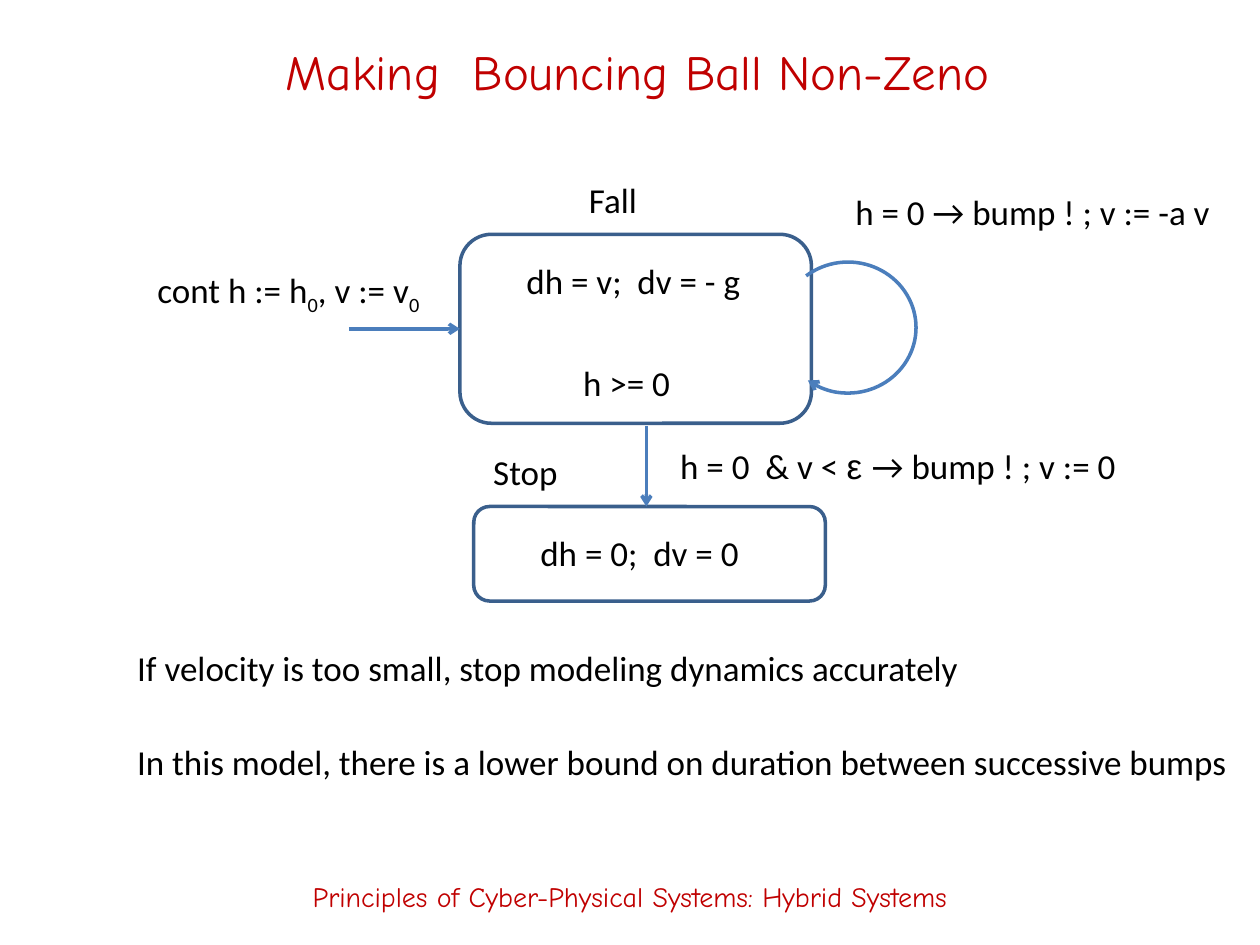
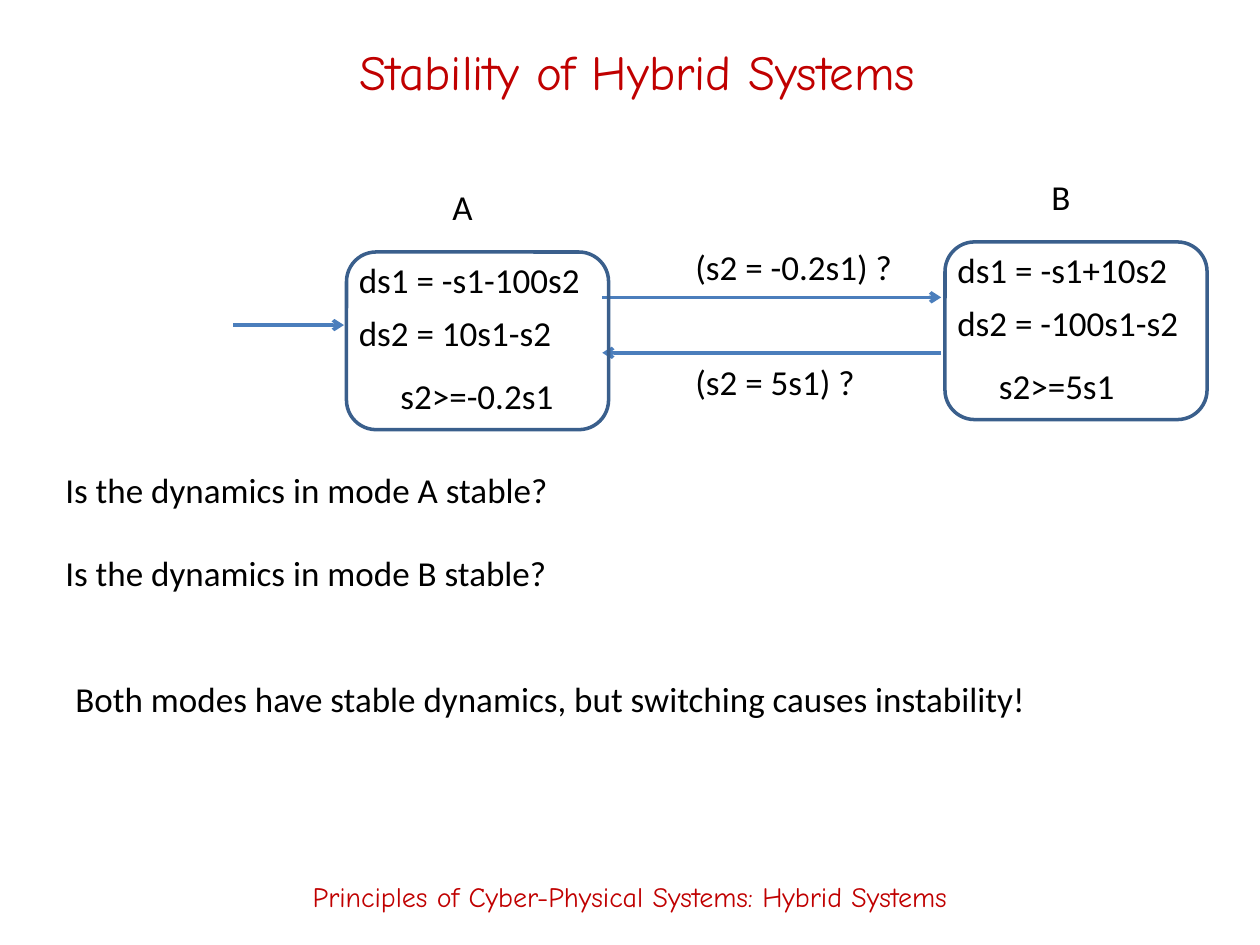
from dataclasses import dataclass
from typing import NamedTuple

from lxml import etree
from pptx import Presentation
from pptx.dml.color import RGBColor
from pptx.enum import shapes, text
from pptx.oxml import ns
from pptx.util import Inches, Pt

COLORS = {"heading": "C00000", "body": "000000", "arrow": "4B7EBC", "mode": "3A5F8C"}
HEADING_FONT = "Comic Neue"
BODY_FONT = "Calibri"
LINE_HEIGHT = 0.44
FOOTER = "Principles of Cyber-Physical Systems: Hybrid Systems"


class Run(NamedTuple):
    text: str
    font: str = ""
    subscript: bool = False


class Label(NamedTuple):
    left: float
    top: float
    width: float
    runs: tuple[Run, ...]
    centered: bool = False


class Arrow(NamedTuple):
    start: tuple[float, float]
    end: tuple[float, float]


@dataclass
class Mode:
    left: float
    top: float
    width: float
    height: float
    name: Label
    equations: tuple[Label, ...]


def label(left: float, top: float, width: float, *runs: str | Run, centered: bool = False) -> Label:
    parts = tuple(Run(run) if isinstance(run, str) else run for run in runs)
    return Label(left, top, width, parts, centered)


def style_paragraph(paragraph, size: int, font: str, color: str, centered: bool) -> None:
    paragraph.alignment = text.PP_ALIGN.CENTER if centered else text.PP_ALIGN.LEFT
    paragraph.font.size = Pt(size)
    paragraph.font.name = font
    paragraph.font.color.rgb = RGBColor.from_string(COLORS[color])


def style_stroke(stroked, color: str) -> None:
    stroked.line.color.rgb = RGBColor.from_string(COLORS[color])
    stroked.line.width = Pt(2)


def point_end(stroked) -> None:
    etree.SubElement(stroked.line._get_or_add_ln(), ns.qn("a:tailEnd"), type="arrow")


def add_label(slide, item: Label, dx: float = 0, dy: float = 0) -> None:
    box = slide.shapes.add_textbox(
        Inches(item.left + dx), Inches(item.top + dy), Inches(item.width), Inches(LINE_HEIGHT)
    )
    box.text_frame.word_wrap = False
    box.text_frame.auto_size = text.MSO_AUTO_SIZE.SHAPE_TO_FIT_TEXT
    paragraph = box.text_frame.paragraphs[0]
    style_paragraph(paragraph, 20, BODY_FONT, "body", item.centered)
    for part in item.runs:
        run = paragraph.add_run()
        run.text = part.text
        if part.font:
            run.font.name = part.font
        if part.subscript:
            run._r.get_or_add_rPr().set("baseline", "-25000")


def add_arrow(slide, arrow: Arrow):
    connector = slide.shapes.add_connector(
        shapes.MSO_CONNECTOR.STRAIGHT, *(Inches(v) for v in arrow.start + arrow.end)
    )
    style_stroke(connector, "arrow")
    point_end(connector)
    etree.SubElement(connector._element.spPr, ns.qn("a:effectLst"))
    return connector


def add_outline(slide, kind, left: float, top: float, width: float, height: float, color: str):
    outline = slide.shapes.add_shape(
        kind, Inches(left), Inches(top), Inches(width), Inches(height)
    )
    outline.shadow.inherit = False
    outline.fill.background()
    style_stroke(outline, color)
    return outline


def add_mode(slide, mode: Mode):
    box = add_outline(
        slide, shapes.MSO_SHAPE.ROUNDED_RECTANGLE,
        mode.left, mode.top, mode.width, mode.height, "mode",
    )
    for item in (mode.name, *mode.equations):
        add_label(slide, item, mode.left, mode.top)
    return box


def add_self_loop(slide, left: float, top: float, width: float, height: float,
                  start_degrees: float, end_degrees: float) -> None:
    loop = add_outline(slide, shapes.MSO_SHAPE.ARC, left, top, width, height, "arrow")
    for index, degrees in enumerate((start_degrees, end_degrees)):
        loop.adjustments[index] = degrees * 0.6
    point_end(loop)


def add_lecture_slide(deck, heading: str):
    slide = deck.slides.add_slide(deck.slide_layouts[5])
    title = slide.shapes.title
    title.left, title.top = Inches(0.77), Inches(0.17)
    title.width, title.height = Inches(8.58), Inches(0.78)
    footer = slide.shapes.add_textbox(Inches(0), Inches(6.72), Inches(10), Inches(0.78))
    for box, wording, size in ((title, heading, 28), (footer, FOOTER, 16)):
        frame = box.text_frame
        frame.text = wording
        frame.word_wrap = True
        frame.vertical_anchor = text.MSO_ANCHOR.MIDDLE
        style_paragraph(frame.paragraphs[0], size, HEADING_FONT, "heading", True)
    return slide


def build_bouncing_ball(deck) -> None:
    slide = add_lecture_slide(deck, "Making  Bouncing Ball Non-Zeno")
    fall = add_mode(slide, Mode(
        3.65, 1.86, 2.79, 1.5,
        label(0.92, -0.49, 0.59, "Fall", centered=True),
        (label(0.43, 0.15, 1.97, "dh = v;  dv = - g"), label(0.88, 0.96, 0.9, "h >= 0")),
    ))
    add_mode(slide, Mode(
        3.76, 4.02, 2.79, 0.75,
        label(-0.06, -0.49, 0.94, "Stop", centered=True),
        (label(0.43, 0.15, 1.85, "dh = 0;  dv = 0"),),
    ))
    entry = add_arrow(slide, Arrow((2.77, 2.61), (3.65, 2.61)))
    entry.end_connect(fall, 1)
    add_arrow(slide, Arrow((5.13, 3.38), (5.13, 4.02)))
    add_self_loop(slide, 6.19, 2.08, 1.08, 1.04, 231, 127.2)
    for item in (
        label(1.15, 2.08, 2.38, "cont h := h", Run("0", subscript=True),
              ", v := v", Run("0", subscript=True)),
        label(6.69, 1.46, 3.06, "h = 0 → bump ! ; v := -a v"),
        label(5.3, 3.48, 3.7, "h = 0  & v < ", Run("ε ", "Arial"), "→ bump ! ; v := 0"),
        label(0.99, 5.08, 6.84, "If velocity is too small, stop modeling dynamics accurately"),
        label(0.99, 5.83, 9,
              "In this model, there is a lower bound on duration between successive bumps"),
    ):
        add_label(slide, item)


def switching_mode(left: float, top: float, name: str, rates: tuple[tuple[str, float], ...],
                   invariant: tuple[str, float]) -> Mode:
    equations = [label(0, 0.42 * row, width, rate) for row, (rate, width) in enumerate(rates)]
    condition, width = invariant
    equations.append(label(0.33, 0.92, width, condition))
    return Mode(left, top, 2.08, 1.41,
                label(0.74, -0.58, 0.36, name, centered=True), tuple(equations))


def build_stability(deck) -> None:
    slide = add_lecture_slide(deck, "Stability of Hybrid Systems")
    for arrow in (
        Arrow((1.85, 2.58), (2.73, 2.58)),
        Arrow((4.78, 2.36), (7.47, 2.36)),
        Arrow((7.47, 2.8), (4.78, 2.8)),
    ):
        add_arrow(slide, arrow)
    for mode in (
        switching_mode(2.75, 2, "A", (("ds1 = -s1-100s2", 1.97), ("ds2 = 10s1-s2", 1.74)),
                       ("s2>=-0.2s1", 1.43)),
        switching_mode(7.5, 1.92, "B", (("ds1 = -s1+10s2", 1.88), ("ds2 = -100s1-s2", 1.97)),
                       ("s2>=5s1", 1.13)),
    ):
        add_mode(slide, mode)
    for item in (
        label(5.42, 1.9, 1.78, "(s2 = -0.2s1) ?"),
        label(5.42, 2.81, 1.48, "(s2 = 5s1) ?"),
        label(0.42, 3.67, 4.07, "Is the dynamics in mode A stable?"),
        label(0.42, 4.33, 4.06, "Is the dynamics in mode B stable?"),
        label(0.5, 5.33, 7.81,
              "Both modes have stable dynamics, but switching causes instability!"),
    ):
        add_label(slide, item)


def main() -> None:
    deck = Presentation()
    deck.slide_width, deck.slide_height = Inches(10), Inches(7.5)
    build_bouncing_ball(deck)
    build_stability(deck)
    deck.save("out.pptx")


if __name__ == "__main__":
    main()
